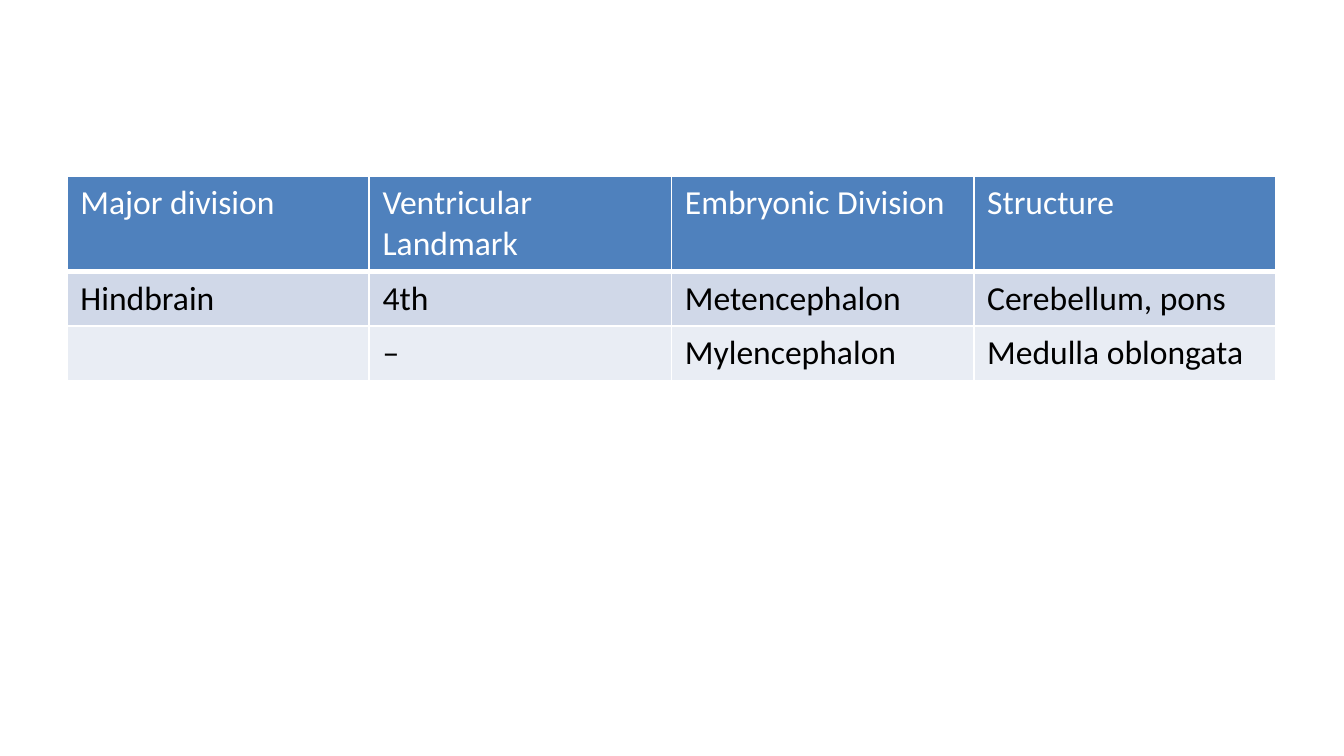
from lxml.etree import SubElement as Sub
from pptx import Presentation
from pptx.dml.color import RGBColor as RGB
from pptx.oxml.ns import qn
from pptx.util import Pt

PX = 914400 / 134.4
WHITE = RGB(0xFF, 0xFF, 0xFF)
BLACK = RGB(0, 0, 0)
BLUE = RGB(0x4F, 0x81, 0xBD)
BAND = RGB(0xD0, 0xD8, 0xE8)
PALE = RGB(0xE9, 0xED, 0xF4)


def px(n):
    return round(n * PX)


def edge(cell, side, width):
    line = Sub(cell._tc.get_or_add_tcPr(), qn(f"a:ln{side}"), w=str(Pt(width)))
    fill = Sub(line, qn("a:solidFill"))
    Sub(fill, qn("a:srgbClr"), val=str(WHITE))


# Slide
deck = Presentation()
deck.slide_width, deck.slide_height = px(1344), px(756)
slide = deck.slides.add_slide(deck.slide_layouts[6])

# Rows: height, fill, text colour, words
rows = [
    (95, BLUE, WHITE, ["Major division", "Ventricular Landmark",
                       "Embryonic Division", "Structure"]),
    (54, BAND, BLACK, ["Hindbrain", "4th", "Metencephalon", "Cerebellum, pons"]),
    (54, PALE, BLACK, ["", "–", "Mylencephalon", "Medulla oblongata"]),
]

# Table
high = sum(row[0] for row in rows)
table = slide.shapes.add_table(
    len(rows), 4, px(67), px(176), px(1209), px(high)).table

for r, (tall, fill, ink, words) in enumerate(rows):
    table.rows[r].height = px(tall)
    for c, word in enumerate(words):
        cell = table.cell(r, c)

        # White borders, heavier under the header
        for side in "LRTB":
            heavy = (r, side) in [(0, "B"), (1, "T")]
            edge(cell, side, 3 if heavy else 1)
        cell.fill.solid()
        cell.fill.fore_color.rgb = fill

        # Text
        if word:
            run = cell.text_frame.paragraphs[0].add_run()
            run.text = word
            run.font.name = "Calibri"
            run.font.size = Pt(18)
            run.font.bold = False
            run.font.color.rgb = ink

deck.save("out.pptx")
